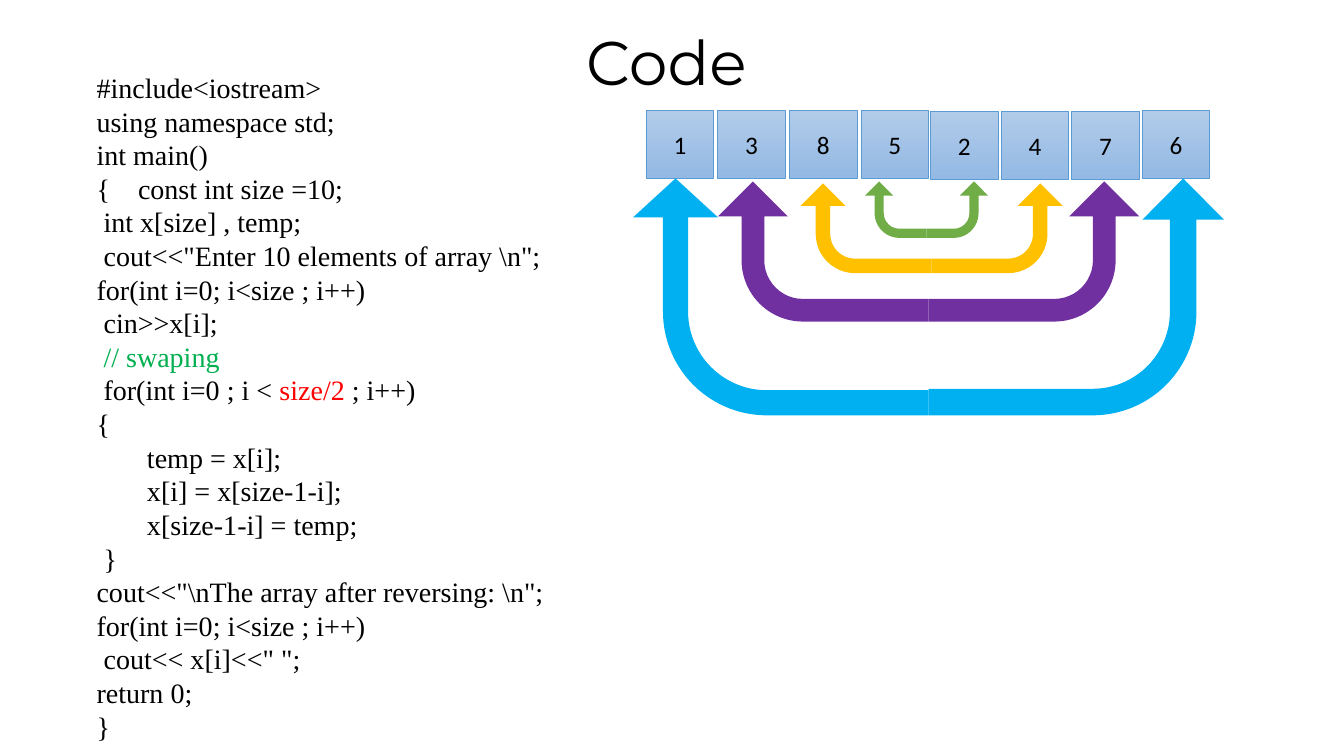
from pptx import Presentation
from pptx import util as u
from pptx.dml.color import RGBColor
from pptx.enum import shapes, text

WIDE, HIGH = 13.33, 7.5
BLACK = "000000"
CODE = r'''#include<iostream>
using namespace std;
int main()
{    const int size =10;
 int x[size] , temp;
 cout<<"Enter 10 elements of array \n";
for(int i=0; i<size ; i++)
 cin>>x[i];
 // swaping
 for(int i=0 ; i < size/2 ; i++)
{
	temp = x[i];
 	x[i] = x[size-1-i];
	x[size-1-i] = temp;
 }
cout<<"\nThe array after reversing: \n";
for(int i=0; i<size ; i++)
 cout<< x[i]<<" ";
return 0;
}'''
TINTS = {" // swaping": "00B050", "size/2": "FF0000"}

BENT = (0.162, 0.25, 0.25, 0.438)
# colour, middle, top, half width, height, left and right adjustments
SWAPS = [
    ("70AD47", 9.19, 1.8, 0.61, 0.56, BENT, BENT),
    ("FFC000", 9.24, 1.82, 1.3, 0.89, BENT, BENT),
    ("7030A0", 9.21, 1.8, 2.09, 1.39, BENT, BENT),
    ("00B0F0", 9.21, 1.77, 2.93, 2.35,
     (0.106, 0.179, 0.164, 0.438), (0.112, 0.172, 0.174, 0.438)),
]


def paint(value):
    return RGBColor.from_string(value)


def box(*sides):
    return [u.Inches(side) for side in sides]


def write(para, words, size=18, face="Calibri", color=BLACK, align=None):
    """Add one formatted run to a paragraph."""
    run = para.add_run()
    run.text = words
    run.font.size = u.Pt(size)
    run.font.name = face
    run.font.color.rgb = paint(color)
    if align is not None:
        para.alignment = align


def split(line):
    """Cut a code line into pieces, each with its colour."""
    for mark, color in TINTS.items():
        if mark in line:
            head, tail = line.split(mark)
            return [(head, BLACK), (mark, color), (tail, BLACK)]
    return [(line, BLACK)]


def add_title(slide, words):
    title = slide.shapes.title
    title.left, title.top, title.width, title.height = box(0.86, 0.19, 11.5, 0.93)
    frame = title.text_frame
    frame.vertical_anchor = text.MSO_ANCHOR.MIDDLE
    para = frame.paragraphs[0]
    para.line_spacing = 0.9
    write(para, words, size=44, face="Montserrat", align=text.PP_ALIGN.CENTER)


def add_code(slide):
    frame = slide.shapes.add_textbox(*box(0.86, 0.65, 9.24, 6.83)).text_frame
    frame.word_wrap = True
    frame.auto_size = text.MSO_AUTO_SIZE.SHAPE_TO_FIT_TEXT
    for row, line in enumerate(CODE.split("\n")):
        para = frame.add_paragraph() if row else frame.paragraphs[0]
        for piece, color in split(line):
            if piece:
                write(para, piece, size=20, face="Times New Roman", color=color)


def add_cell(slide, left, top, value):
    cell = slide.shapes.add_shape(shapes.MSO_SHAPE.RECTANGLE,
                                  *box(left, top, 0.67, 0.67))
    cell.shadow.inherit = False
    cell.fill.gradient()
    cell.fill.gradient_angle = 270
    for stop, color in zip(cell.fill.gradient_stops, ("B1CBE9", "93B9E4")):
        stop.color.rgb = paint(color)
    cell.line.color.rgb = paint("5B9BD5")
    cell.line.width = u.Pt(0.5)
    frame = cell.text_frame
    frame.vertical_anchor = text.MSO_ANCHOR.MIDDLE
    write(frame.paragraphs[0], str(value), align=text.PP_ALIGN.CENTER)


def add_array(slide, values):
    half = len(values) // 2
    for col, value in enumerate(values):
        left = 6.41 + 0.71 * col if col < half else 9.23 + 0.7 * (col - half)
        top = 1.11 if half <= col < len(values) - 1 else 1.1
        add_cell(slide, left, top, value)


def add_swap(slide, color, mid, top, half, high, left, right):
    """Join two mirrored bent arrows that point up at a pair of cells."""
    group = slide.shapes.add_group_shape()
    for side, turn, bends in ((-1, 270, left), (1, 90, right)):
        x = mid + side * half / 2
        y = top + high / 2
        arrow = group.shapes.add_shape(
            shapes.MSO_SHAPE.BENT_ARROW,
            *box(x - high / 2, y - half / 2, high, half))
        arrow.rotation = turn
        if side > 0:
            arrow._element.spPr.xfrm.set("flipH", "1")
        for place, bend in enumerate(bends):
            arrow.adjustments[place] = bend
        arrow.shadow.inherit = False
        arrow.fill.solid()
        arrow.fill.fore_color.rgb = paint(color)
        arrow.line.fill.background()


def main():
    deck = Presentation()
    deck.slide_width, deck.slide_height = box(WIDE, HIGH)
    slide = deck.slides.add_slide(deck.slide_layouts[5])
    add_title(slide, "Code")
    add_code(slide)
    add_array(slide, [1, 3, 8, 5, 2, 4, 7, 6])
    for swap in SWAPS:
        add_swap(slide, *swap)
    deck.save("out.pptx")


if __name__ == "__main__":
    main()
